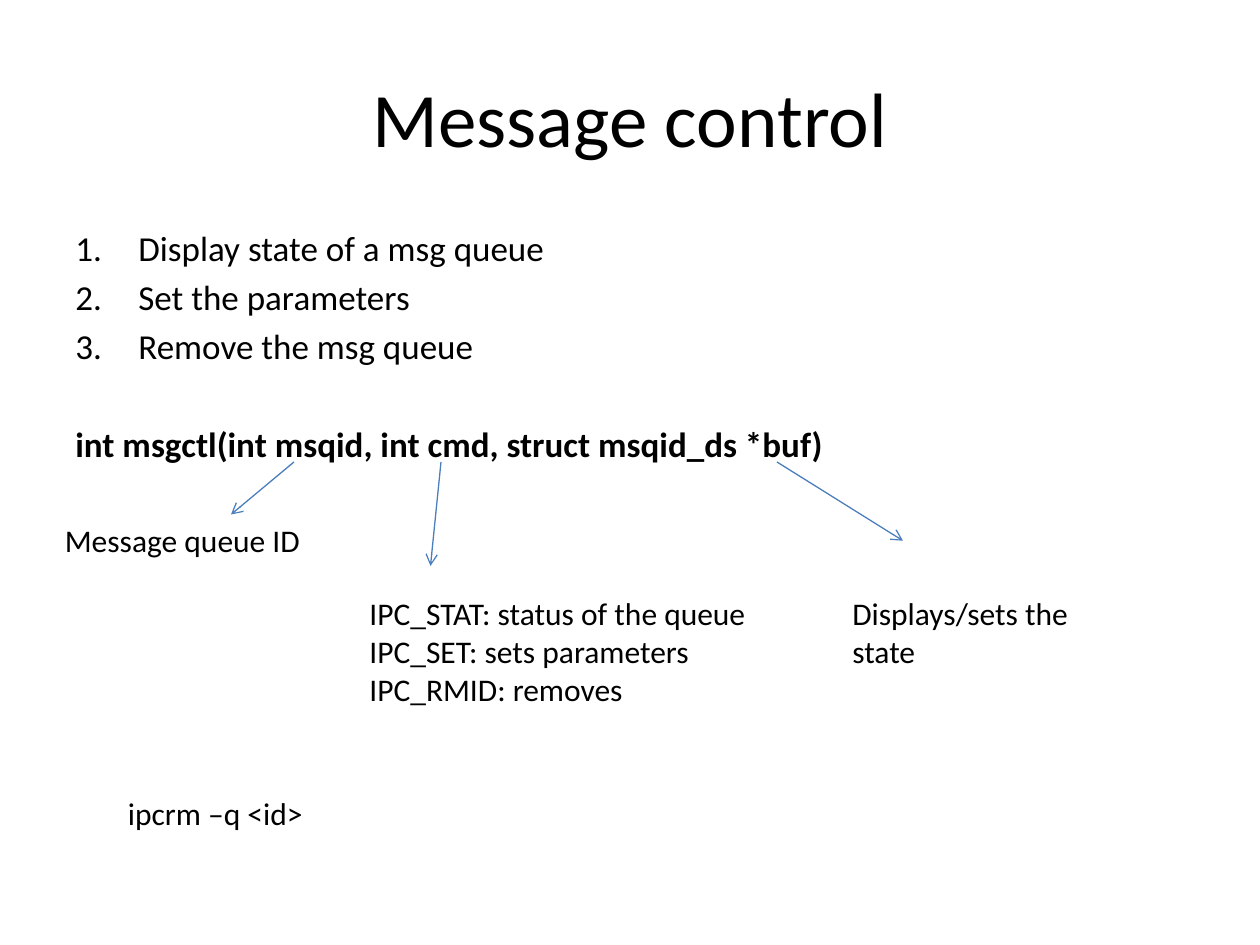
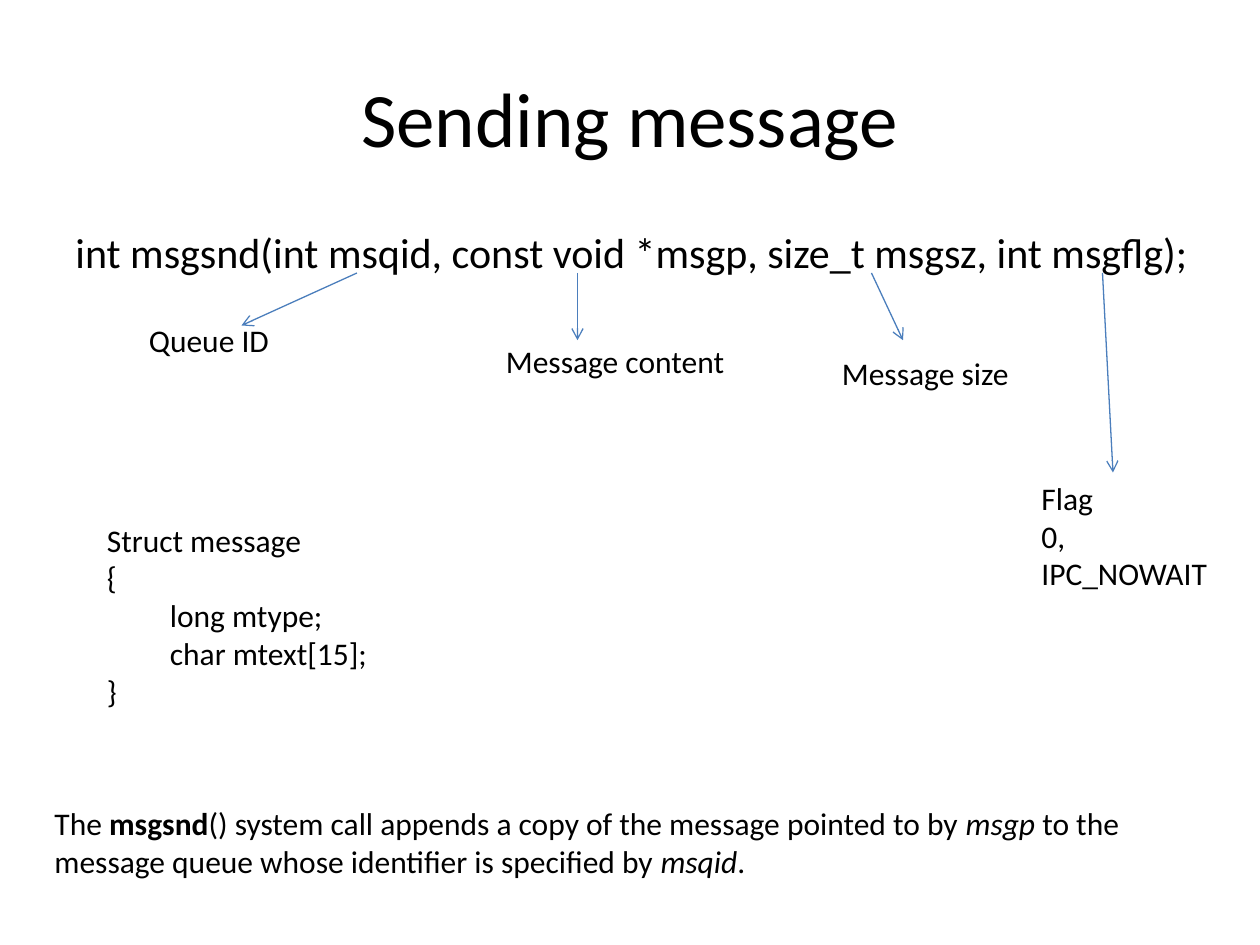
from lxml import etree
from pptx import Presentation
from pptx.dml.color import RGBColor
from pptx.enum.shapes import MSO_CONNECTOR
from pptx.enum.text import MSO_ANCHOR, MSO_AUTO_SIZE, PP_ALIGN
from pptx.oxml.ns import qn
from pptx.util import Inches, Pt

STRAIGHT = MSO_CONNECTOR.STRAIGHT
MIDDLE, TOP = MSO_ANCHOR.MIDDLE, MSO_ANCHOR.TOP
GROW = MSO_AUTO_SIZE.SHAPE_TO_FIT_TEXT
CENTER, LEFT = PP_ALIGN.CENTER, PP_ALIGN.LEFT

COLORS = {"text": "000000", "arrow": "4B7EBC", "background": "FFFFFF"}
FONT = "Calibri"
TITLE_SIZE, LABEL_SIZE = 44, 18

# The slide is a grid of 120 columns by 90 rows; all boxes are in grid units
COLUMNS, ROWS = 120, 90
prs = Presentation()
prs.slide_width, prs.slide_height = Inches(10), Inches(7.5)
TITLE_BOX = (6, 3.6, 108, 15)
BODY_TOP, BODY_HEIGHT = 21, 59.4


def grid(column, row):
    return (round(column * prs.slide_width / COLUMNS),
            round(row * prs.slide_height / ROWS))


def color(name):
    return RGBColor.from_string(COLORS[name])


def style_run(run, size, bold=False, italic=False):
    run.font.name, run.font.size = FONT, Pt(size)
    run.font.bold, run.font.italic = bold, italic
    run.font.color.rgb = color("text")


def add_text(slide, box, lines, size, align=LEFT, anchor=TOP):
    left, top, width, height = box
    frame = slide.shapes.add_textbox(*grid(left, top),
                                     *grid(width, height)).text_frame
    frame.word_wrap = True
    frame.vertical_anchor = anchor
    frame.text = "\n".join(lines)
    for paragraph in frame.paragraphs:
        paragraph.alignment = align
        for run in paragraph.runs:
            style_run(run, size)
    return frame


def add_label(slide, left, top, width, lines, line_count=None):
    """Text box whose height follows from its number of lines."""
    height = 1.2 + 3.64 * (line_count or len(lines))
    frame = add_text(slide, (left, top, width, height), lines, LABEL_SIZE)
    frame.auto_size = GROW
    return frame


def add_arrow(slide, start, end):
    arrow = slide.shapes.add_connector(STRAIGHT, *grid(*start), *grid(*end))
    arrow.line.color.rgb = color("arrow")
    arrow.line.width = Pt(0.75)
    properties = arrow.line._get_or_add_ln()
    etree.SubElement(properties, qn("a:tailEnd"), type="arrow")
    etree.SubElement(arrow._element.spPr, qn("a:effectLst"))


def add_titled_slide(title):
    slide = prs.slides.add_slide(prs.slide_layouts[6])
    slide.background.fill.solid()
    slide.background.fill.fore_color.rgb = color("background")
    add_text(slide, TITLE_BOX, [title], TITLE_SIZE, CENTER, MIDDLE)
    return slide


def add_body(slide, width, signature, size, steps=()):
    """Numbered steps, if any, followed by the function signature."""
    frame = add_text(slide, (6, BODY_TOP, width, BODY_HEIGHT),
                     [*steps, signature], size)
    for paragraph in frame.paragraphs:
        paragraph.space_before = Pt(0.2 * size)
    for step in frame.paragraphs[:len(steps)]:
        properties = step._p.get_or_add_pPr()
        properties.set("marL", str(Inches(0.5)))
        properties.set("indent", str(-Inches(0.5)))
        etree.SubElement(properties, qn("a:buFont"), typeface="+mj-lt")
        etree.SubElement(properties, qn("a:buAutoNum"), type="arabicPeriod")
    return frame.paragraphs[-1]


def add_parameter_notes(slide, start_row, notes):
    """An arrow from each parameter in the signature to its explanation."""
    for start_column, end, (left, top, width), lines, line_count in notes:
        add_arrow(slide, (start_column, start_row), end)
        add_label(slide, left, top, width, lines, line_count)


def add_control_slide():
    slide = add_titled_slide("Message control")
    signature = add_body(
        slide, 108, "int msgctl(int msqid, int cmd, struct msqid_ds *buf)", 20,
        ["Display state of a msg queue", "Set the parameters",
         "Remove the msg queue"])
    signature.space_before = Pt(32)
    signature.runs[0].font.bold = True

    add_parameter_notes(slide, 44, [
        (28, (22, 49), (5, 49, 29), ["Message queue ID"], 1),
        (42, (41, 53.9), (34, 56, 40),
         ["IPC_STAT: status of the queue", "IPC_SET: sets parameters",
          "IPC_RMID: removes"], 3),
        (74, (86, 51.5), (80, 56, 25), ["Displays/sets the state"], 2),
    ])
    # Shell command
    add_label(slide, 11, 75, 41, ["ipcrm –q <id>"])


def add_sending_slide():
    slide = add_titled_slide("Sending message")
    add_body(
        slide, 112,
        "int msgsnd(int msqid, const void *msgp, size_t msgsz, int msgflg);",
        24)
    add_parameter_notes(slide, 26, [
        (34, (23, 31), (13, 30, 16), ["Queue ID"], 1),
        (55, (55, 32.4), (47, 32, 28), ["Message content"], 1),
        (83, (86, 32.4), (79, 33.1, 21), ["Message size"], 1),
        (105, (106, 45), (98, 45, 21), ["Flag", "0,", "IPC_NOWAIT"], 3),
    ])
    # Message structure
    add_label(slide, 9, 49, 48, ["Struct message", "{", "\tlong mtype;",
                                 "\tchar mtext[15];", "}"])
    # Description of the call
    description = add_label(slide, 4, 76, 104.5, [""], 2).paragraphs[0]
    for text, emphasis in [
        ("The ", {}),
        ("msgsnd", {"bold": True}),
        ("() system call appends a copy of the message pointed to by ", {}),
        ("msgp", {"italic": True}),
        (" to the message queue whose identifier is specified by ", {}),
        ("msqid", {"italic": True}),
        (".", {}),
    ]:
        run = description.add_run()
        run.text = text
        style_run(run, LABEL_SIZE, **emphasis)


add_control_slide()
add_sending_slide()
prs.save("out.pptx")
